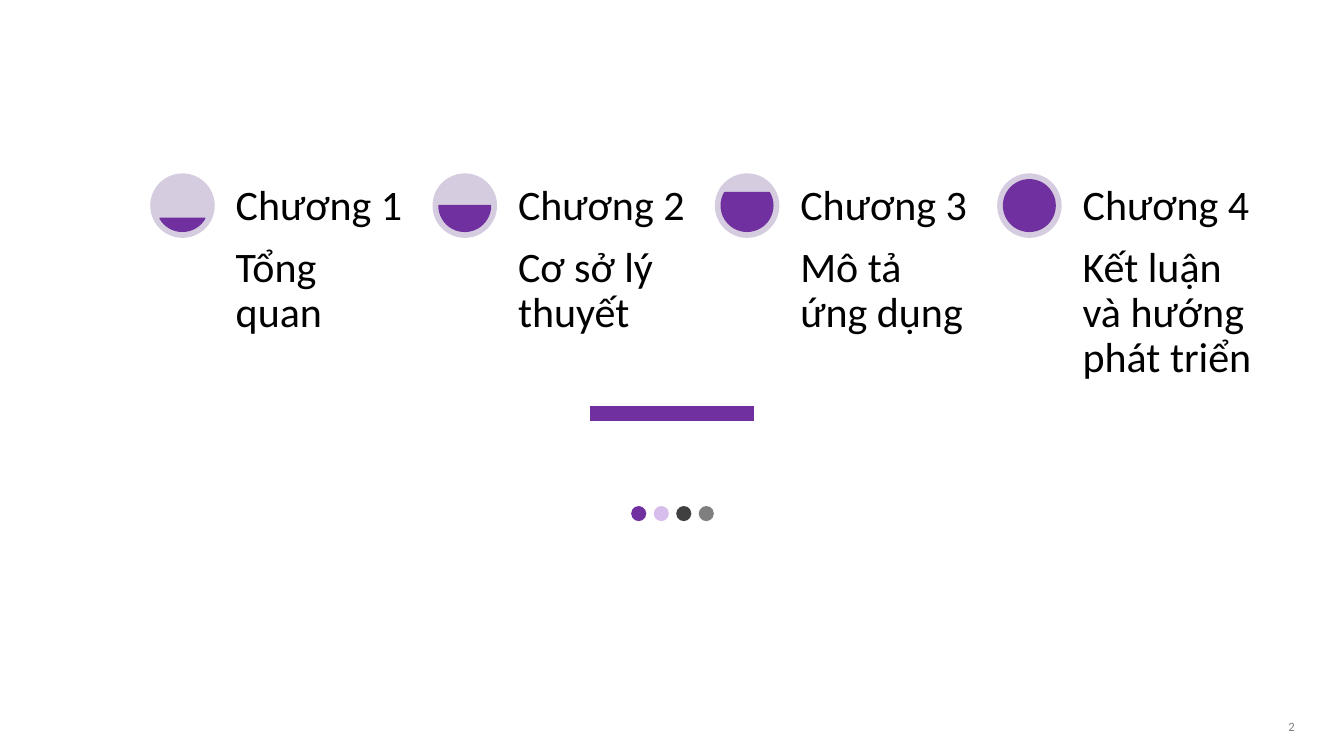
from math import asin, degrees
from lxml.etree import SubElement
from pptx import Presentation
from pptx.dml.color import RGBColor
from pptx.enum.shapes import MSO_CONNECTOR as Connector, MSO_SHAPE as Shape
from pptx.enum.text import MSO_ANCHOR as Anchor, PP_ALIGN as Align
from pptx.oxml.ns import qn
from pptx.util import Inches, Pt

PURPLE = RGBColor(0x70, 0x30, 0xA0)
LILAC = RGBColor(0xC7, 0xA2, 0xE3)
MIST = RGBColor(0xD5, 0xCD, 0xDF)
CHARCOAL = RGBColor(0x40, 0x40, 0x40)
GREY = RGBColor(0x7F, 0x7F, 0x7F)
BLACK = RGBColor(0, 0, 0)

WIDTH, HEIGHT = 13.33, 7.5
CHAPTERS = [
    ("Chương 1", "Tổng quan"),
    ("Chương 2", "Cơ sở lý thuyết"),
    ("Chương 3", "Mô tả ứng dụng"),
    ("Chương 4", "Kết luận và hướng phát triển"),
]
DOTS = [(PURPLE, 100), (LILAC, 70), (CHARCOAL, 100), (GREY, 100)]


def add_filled(shapes, kind, box, color, opacity=100):
    shape = shapes.add_shape(kind, *map(Inches, box))
    shape.shadow.inherit = False
    shape.fill.solid()
    shape.fill.fore_color.rgb = color
    shape.line.fill.background()
    if opacity < 100:
        tint = shape.fill._xPr.find(qn("a:solidFill"))[0]
        SubElement(tint, qn("a:alpha"), val=str(opacity * 1000))
    return shape


def add_text(shapes, box, text, size, color, anchor, inset=0.08, spacing=0.9, align=Align.LEFT):
    frame = shapes.add_textbox(*map(Inches, box)).text_frame
    frame.word_wrap = True
    frame.vertical_anchor = anchor
    frame.margin_left = frame.margin_right = Inches(inset)
    frame.margin_top = frame.margin_bottom = Inches(inset)
    para = frame.paragraphs[0]
    para.text = text
    para.alignment = align
    para.line_spacing = spacing
    para.font.size = Pt(size)
    para.font.name = "Calibri"
    para.font.color.rgb = color


def add_gauge(shapes, box, share):
    left, top, size, _ = box
    add_filled(shapes, Shape.OVAL, box, MIST)
    rim = size * 0.1
    inner = size - 2 * rim
    level = add_filled(shapes, Shape.CHORD, (left + rim, top + rim, inner, inner), PURPLE)
    start = round(degrees(asin(1 - 2 * share)))
    for index, angle in enumerate((start % 360, 180 - start)):
        level.adjustments[index] = angle * 0.6
    level.line.color.rgb = PURPLE
    level.line.width = Pt(1)


def add_chapters(page, box):
    left, top, width, height = box
    shapes = page.shapes.add_group_shape().shapes
    pitch = width / len(CHAPTERS)
    head = 0.64
    indent = head * 1.2
    text_width = pitch * 0.675
    for index, (title, topic) in enumerate(CHAPTERS):
        x = left + index * pitch
        add_gauge(shapes, (x, top, head, head), (index + 1) / len(CHAPTERS))
        add_text(shapes, (x + indent, top + head, text_width, height - head),
                 topic, 30, BLACK, Anchor.TOP)
        add_text(shapes, (x + indent, top, text_width, head),
                 title, 30, BLACK, Anchor.BOTTOM)


def add_rule(page, left, right, y):
    rule = page.shapes.add_connector(
        Connector.STRAIGHT, Inches(left), Inches(y), Inches(right), Inches(y))
    rule.line.color.rgb = PURPLE
    rule.line.width = Pt(11)
    SubElement(rule._element.spPr, qn("a:effectLst"))


def add_dots(page, box):
    left, top, width, size = box
    shapes = page.shapes.add_group_shape().shapes
    pitch = (width - size) / (len(DOTS) - 1)
    for index, (color, opacity) in enumerate(DOTS):
        add_filled(shapes, Shape.OVAL, (left + index * pitch, top, size, size), color, opacity)


def add_page_number(page, box):
    add_text(page.shapes, box, "2", 9, GREY, Anchor.MIDDLE,
             inset=0.1, spacing=1.0, align=Align.RIGHT)


def main():
    deck = Presentation()
    deck.slide_width, deck.slide_height = Inches(WIDTH), Inches(HEIGHT)
    page = deck.slides.add_slide(deck.slide_layouts[6])
    add_rule(page, 5.85, 7.48, 4.1)
    add_dots(page, (6.26, 5.02, 0.82, 0.15))
    add_page_number(page, (9.94, 7.07, 3, 0.27))
    add_chapters(page, (1.49, 1.72, 11.2, 3.33))
    deck.save("out.pptx")


if __name__ == "__main__":
    main()
